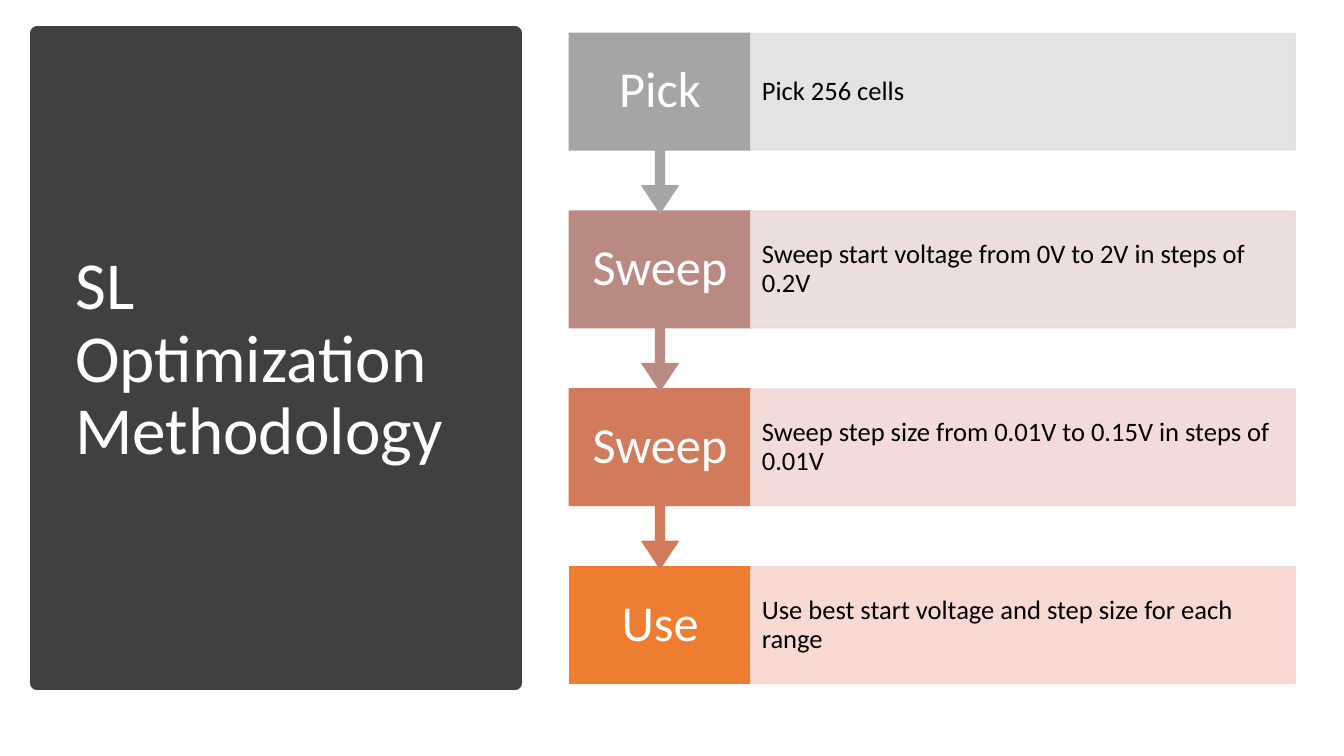
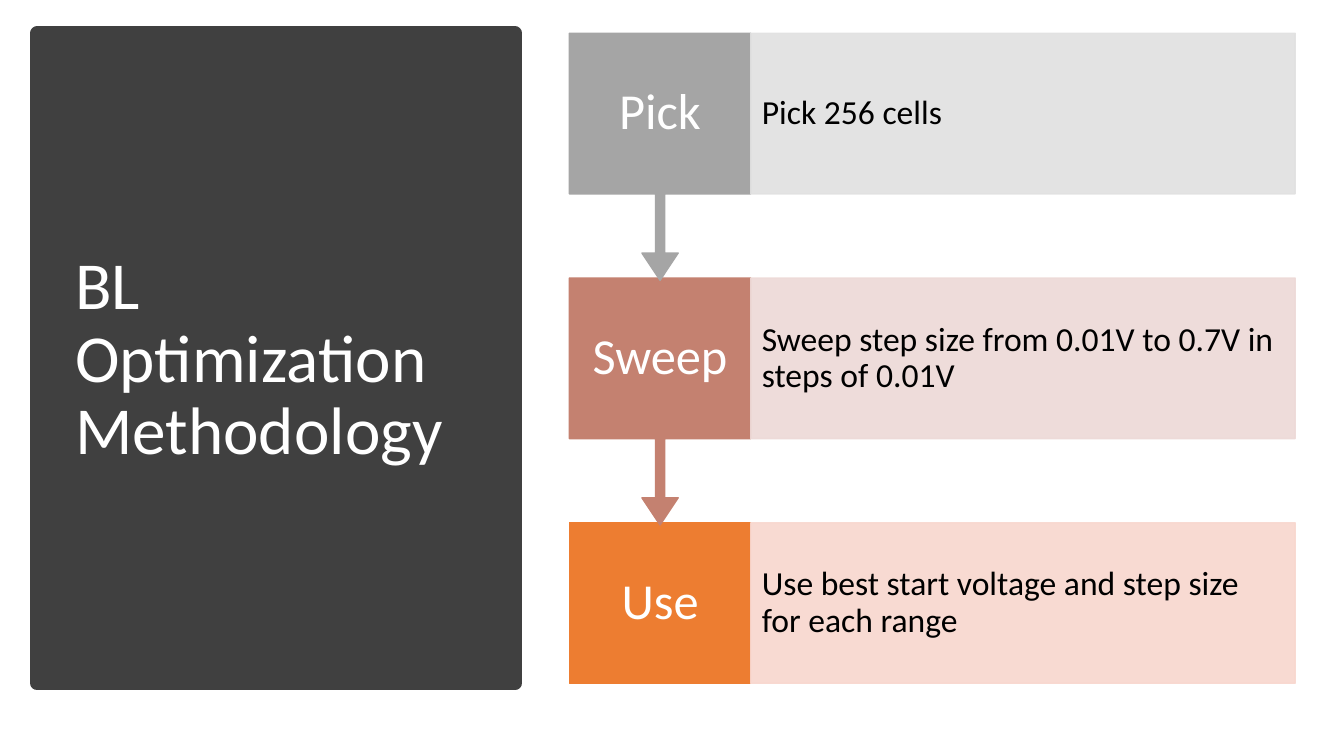
from lxml import etree
from pptx import Presentation
from pptx.dml.color import RGBColor
from pptx.enum.shapes import MSO_SHAPE
from pptx.enum.text import MSO_ANCHOR, MSO_AUTO_SIZE, PP_ALIGN
from pptx.oxml.ns import qn
from pptx.util import Cm, Pt

RECTANGLE = MSO_SHAPE.RECTANGLE
ARROW_BOX = MSO_SHAPE.DOWN_ARROW_CALLOUT
MIDDLE = MSO_ANCHOR.MIDDLE
NO_AUTOFIT = MSO_AUTO_SIZE.NONE
LEFT, CENTER = PP_ALIGN.LEFT, PP_ALIGN.CENTER

# Shared colours: each step pairs a label colour with a detail tint
FONT = "Calibri"
WHITE = RGBColor(0xFF, 0xFF, 0xFF)
BLACK = RGBColor(0x00, 0x00, 0x00)
CHARCOAL = RGBColor(0x40, 0x40, 0x40)
GRAY = RGBColor(0xA5, 0xA5, 0xA5), RGBColor(0xE1, 0xE1, 0xE1)
MAUVE = RGBColor(0xB9, 0x8A, 0x82), RGBColor(0xE9, 0xDB, 0xDA)
ROSE = RGBColor(0xC4, 0x81, 0x70), RGBColor(0xED, 0xD9, 0xD7)
TERRACOTTA = RGBColor(0xD1, 0x7B, 0x5C), RGBColor(0xF1, 0xD8, 0xD4)
ORANGE = RGBColor(0xED, 0x7D, 0x31), RGBColor(0xF8, 0xD7, 0xCE)

# Shared geometry, in centimetres
TOP, HEIGHT = 0.84, 16.38
LABEL_LEFT, LABEL_WIDTH = 14.35, 4.57
DETAIL_WIDTH = 13.72
BOX_SHARE = 0.656      # box height as a part of the step pitch
CALLOUT_BOX = 0.65     # box height as a part of box plus arrow
TINT_OPACITY = 90

USE_STEP = ("Use", "Use best start voltage and step size for each range", ORANGE)
SL_STEPS = [
    ("Pick", "Pick 256 cells", GRAY),
    ("Sweep", "Sweep start voltage from 0V to 2V in steps of 0.2V", MAUVE),
    ("Sweep", "Sweep step size from 0.01V to 0.15V in steps of 0.01V", TERRACOTTA),
    USE_STEP,
]
BL_STEPS = [
    ("Pick", "Pick 256 cells", GRAY),
    ("Sweep", "Sweep step size from 0.01V to 0.7V in steps of 0.01V", ROSE),
    USE_STEP,
]


def add_block(slide, kind, left, top, width, height, color, line_width=1):
    block = slide.shapes.add_shape(kind, Cm(left), Cm(top), Cm(width), Cm(height))
    block.shadow.inherit = False
    block.fill.solid()
    block.fill.fore_color.rgb = color
    block.line.color.rgb = color
    block.line.width = Pt(line_width)
    return block


def set_opacity(block, percent):
    for color in block.element.spPr.iter(qn("a:srgbClr")):
        etree.SubElement(color, qn("a:alpha")).set("val", str(percent * 1000))


def write_text(block, lines, size, color, align=LEFT, margins=(0.25, 0.13)):
    frame = block.text_frame
    frame.word_wrap = True
    frame.auto_size = NO_AUTOFIT
    frame.vertical_anchor = MIDDLE
    frame.margin_left = frame.margin_right = Cm(margins[0])
    frame.margin_top = frame.margin_bottom = Cm(margins[1])
    paragraph = frame.paragraphs[0]
    paragraph.alignment = align
    paragraph.line_spacing = 0.9
    for index, line in enumerate(lines):
        if index:
            paragraph.add_line_break()
        run = paragraph.add_run()
        run.text = line
        run.font.name = FONT
        run.font.size = Pt(size)
        run.font.color.rgb = color


def add_title_panel(slide, lines):
    title = slide.shapes.title
    title.left, title.top = Cm(1.65), Cm(1.78)
    title.width, title.height = Cm(10.57), Cm(14.6)
    write_text(title, lines, 48, WHITE)
    panel = add_block(slide, RECTANGLE, 0.94, TOP, 12.04, HEIGHT, CHARCOAL, 10)
    title.element.addprevious(panel.element)  # panel lies behind the title


def add_step(slide, step, top, box_height, detail_size, is_last):
    label, detail, (color, tint) = step

    # Label, with an arrow to the next step
    if is_last:
        label_box = add_block(slide, RECTANGLE, LABEL_LEFT, top,
                              LABEL_WIDTH, box_height, color)
    else:
        label_box = add_block(slide, ARROW_BOX, LABEL_LEFT, top,
                              LABEL_WIDTH, box_height / CALLOUT_BOX, color)
        for index, value in enumerate((0.05, 0.1, 0.15, CALLOUT_BOX)):
            label_box.adjustments[index] = value
    write_text(label_box, [label], 36, WHITE, CENTER, (0.33, 0.71))

    # Detail
    detail_box = add_block(slide, RECTANGLE, LABEL_LEFT + LABEL_WIDTH, top,
                           DETAIL_WIDTH, box_height, tint)
    set_opacity(detail_box, TINT_OPACITY)
    write_text(detail_box, [detail], detail_size, BLACK, margins=(0.28, 0.66))


def add_process(slide, steps, detail_size):
    last = len(steps) - 1
    pitch = HEIGHT / (last + BOX_SHARE)
    # Bottom up, so that each arrow tip lies over the next box
    for index in reversed(range(len(steps))):
        add_step(slide, steps[index], TOP + index * pitch, pitch * BOX_SHARE,
                 detail_size, index == last)


def main():
    deck = Presentation()
    deck.slide_width, deck.slide_height = Cm(33.87), Cm(19.05)
    title_only = deck.slide_layouts[5]
    for subject, steps, detail_size in (("SL", SL_STEPS, 19), ("BL", BL_STEPS, 24)):
        slide = deck.slides.add_slide(title_only)
        add_title_panel(slide, [f"{subject} Optimization", "Methodology"])
        add_process(slide, steps, detail_size)
    deck.save("out.pptx")


if __name__ == "__main__":
    main()
